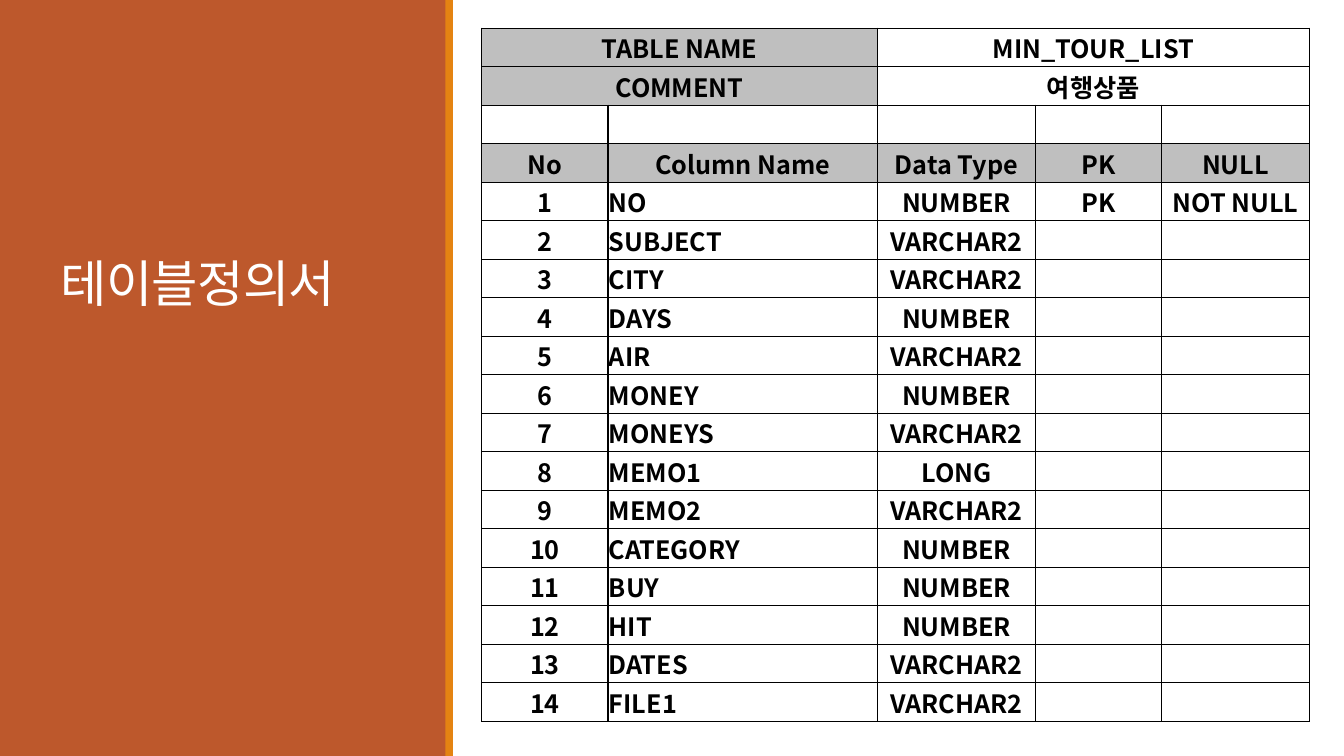
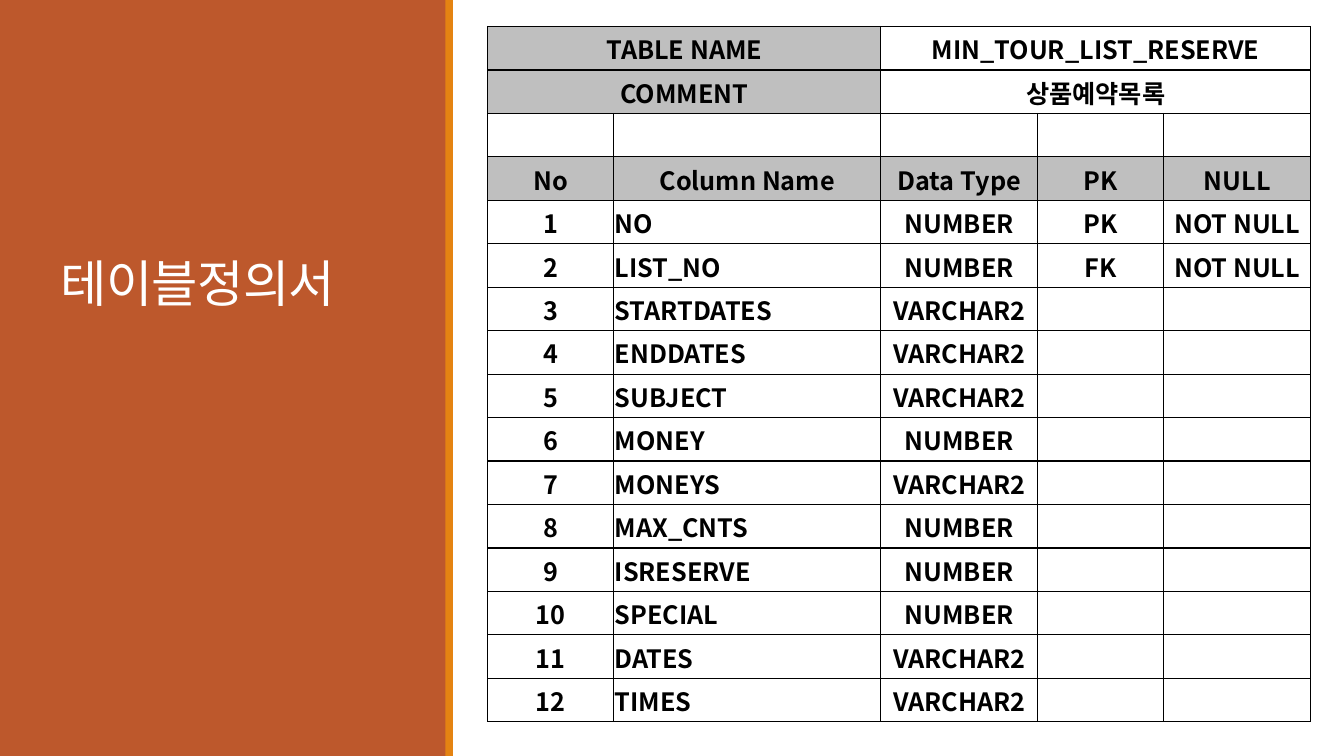
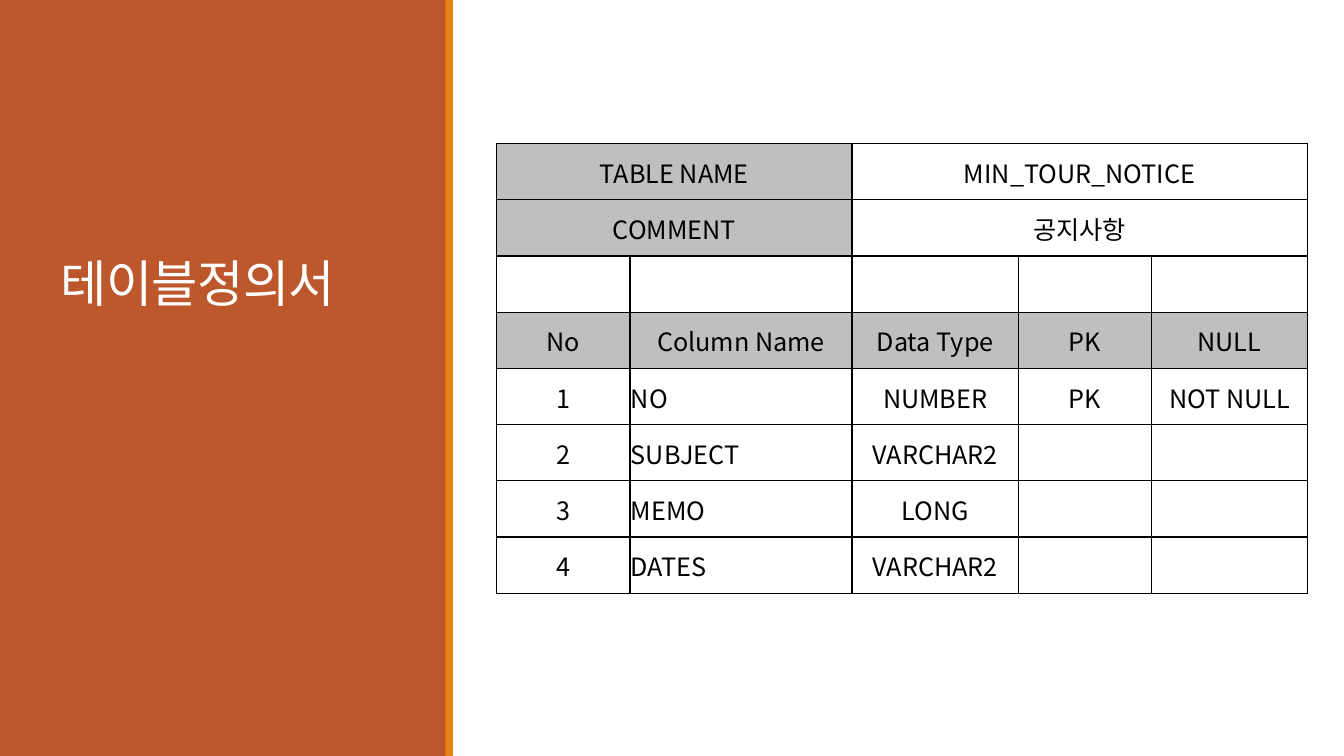
from lxml import etree
from pptx import Presentation, util as u
from pptx.dml.color import RGBColor
from pptx.enum import shapes, text
from pptx.oxml import ns

KEY = ("PK", "NOT NULL")
LEFT, CENTER = text.PP_ALIGN.LEFT, text.PP_ALIGN.CENTER


def rgb(value):
    return RGBColor.from_string(value)


def apply(target, values):
    for name, value in values.items():
        setattr(target, name, value)


class Deck:
    rust, orange, gray, black, white = "BD582C", "E48312", "BFBFBF", "000000", "FFFFFF"
    title_font = {"name": "Calibri", "size": u.Pt(36), "bold": False}
    cell_font = {"name": "Noto Sans CJK KR", "size": u.Pt(18)}
    cell_format = {
        "margin_left": u.Inches(0.01),
        "margin_right": u.Inches(0.01),
        "margin_top": u.Inches(0.01),
        "margin_bottom": 0,
        "vertical_anchor": text.MSO_ANCHOR.MIDDLE,
    }
    headings = ("No", "Column Name", "Data Type", "PK", "NULL")

    def __init__(self):
        self.prs = Presentation()
        self.prs.slide_width, self.prs.slide_height = u.Inches(13.33), u.Inches(7.5)
        self.s = None

    def box(self, left, top, width, height):
        w, h = self.prs.slide_width, self.prs.slide_height
        shares = ((left, w), (top, h), (width, w), (height, h))
        return [round(share * side / 100) for share, side in shares]

    def slide(self, title):
        self.s = self.prs.slides.add_slide(self.prs.slide_layouts[5])
        self.band(0, 33.22, self.rust)
        self.band(33.15, 0.55, self.orange)
        self.title(title)

    def band(self, left, width, color):
        sp = self.s.shapes.add_shape(
            shapes.MSO_SHAPE.RECTANGLE, *self.box(left, 0, width, 100))
        sp.shadow.inherit = False
        sp.fill.solid()
        sp.fill.fore_color.rgb = rgb(color)
        sp.line.fill.background()

    def title(self, words):
        sp = self.s.shapes.title
        self.s.shapes.element.append(sp.element)
        sides = ("left", "top", "width", "height")
        apply(sp, dict(zip(sides, self.box(3.75, 8.67, 26.25, 33.33))))
        tf = sp.text_frame
        apply(tf, {"word_wrap": True, "auto_size": text.MSO_AUTO_SIZE.NONE,
                   "vertical_anchor": text.MSO_ANCHOR.BOTTOM})
        p = tf.paragraphs[0]
        apply(p, {"alignment": LEFT, "line_spacing": 0.85})
        r = p.add_run()
        r.text = words
        apply(r.font, self.title_font)
        r.font.color.rgb = rgb(self.white)
        r._r.get_or_add_rPr().set("spc", "-50")

    def borders(self, cell):
        tc_pr = cell._tc.get_or_add_tcPr()
        for side in ("a:lnL", "a:lnR", "a:lnT", "a:lnB"):
            ln = etree.SubElement(tc_pr, ns.qn(side), w=str(u.Pt(1)))
            fill = etree.SubElement(ln, ns.qn("a:solidFill"))
            etree.SubElement(fill, ns.qn("a:srgbClr"), val=self.black)

    def cell(self, cell, words, bold, align, shaded):
        apply(cell, self.cell_format)
        self.borders(cell)
        if shaded:
            cell.fill.solid()
            cell.fill.fore_color.rgb = rgb(self.gray)
        else:
            cell.fill.background()
        if words:
            p = cell.text_frame.paragraphs[0]
            p.alignment = align
            r = p.add_run()
            r.text = words
            apply(r.font, {**self.cell_font, "bold": bold})
            r.font.color.rgb = rgb(self.black)
            ea = etree.SubElement(r._r.get_or_add_rPr(), ns.qn("a:ea"))
            ea.set("typeface", self.cell_font["name"])

    def definition(self, name, comment, fields, box, weights, bold=True):
        rows = [("TABLE NAME", "", name), ("COMMENT", "", comment), (), self.headings]
        rows += [(str(no), *field) for no, field in enumerate(fields, 1)]
        left, top, width, height = self.box(*box)
        table = self.s.shapes.add_table(
            len(rows), len(weights), left, top, width, height).table
        apply(table, {"first_row": False, "horz_banding": False})
        for column, weight in zip(table.columns, weights):
            column.width = round(width * weight / sum(weights))
        for y, row in enumerate(rows):
            table.rows[y].height = round(height / len(rows))
            for x in range(len(weights)):
                words = row[x] if x < len(row) else ""
                align = LEFT if x == 1 and y > 3 else CENTER
                shaded = y == 3 or (y < 2 and x < 2)
                self.cell(table.cell(y, x), words, bold, align, shaded)
        for y in range(2):
            table.cell(y, 0).merge(table.cell(y, 1))
            table.cell(y, 2).merge(table.cell(y, 4))


TABLES = [
    {
        "name": "MIN_TOUR_LIST",
        "comment": "여행상품",
        "box": (35.85, 3.73, 61.57, 91.73),
        "weights": (1.25, 2.67, 1.57, 1.25, 1.46),
        "fields": [
            ("NO", "NUMBER", *KEY),
            ("SUBJECT", "VARCHAR2"),
            ("CITY", "VARCHAR2"),
            ("DAYS", "NUMBER"),
            ("AIR", "VARCHAR2"),
            ("MONEY", "NUMBER"),
            ("MONEYS", "VARCHAR2"),
            ("MEMO1", "LONG"),
            ("MEMO2", "VARCHAR2"),
            ("CATEGORY", "NUMBER"),
            ("BUY", "NUMBER"),
            ("HIT", "NUMBER"),
            ("DATES", "VARCHAR2"),
            ("FILE1", "VARCHAR2"),
        ],
    },
    {
        "name": "MIN_TOUR_LIST_RESERVE",
        "comment": "상품예약목록",
        "box": (36.3, 3.5, 61.23, 92),
        "weights": (1.25, 2.65, 1.56, 1.25, 1.46),
        "fields": [
            ("NO", "NUMBER", *KEY),
            ("LIST_NO", "NUMBER", "FK", "NOT NULL"),
            ("STARTDATES", "VARCHAR2"),
            ("ENDDATES", "VARCHAR2"),
            ("SUBJECT", "VARCHAR2"),
            ("MONEY", "NUMBER"),
            ("MONEYS", "VARCHAR2"),
            ("MAX_CNTS", "NUMBER"),
            ("ISRESERVE", "NUMBER"),
            ("SPECIAL", "NUMBER"),
            ("DATES", "VARCHAR2"),
            ("TIMES", "VARCHAR2"),
        ],
    },
    {
        "name": "MIN_TOUR_NOTICE",
        "comment": "공지사항",
        "box": (36.96, 19, 60.3, 59.47),
        "weights": (1.32, 2.2, 1.65, 1.32, 1.54),
        "bold": False,
        "fields": [
            ("NO", "NUMBER", *KEY),
            ("SUBJECT", "VARCHAR2"),
            ("MEMO", "LONG"),
            ("DATES", "VARCHAR2"),
        ],
    },
]


def main():
    deck = Deck()
    for table in TABLES:
        deck.slide("테이블정의서")
        deck.definition(**table)
    deck.prs.save("out.pptx")


if __name__ == "__main__":
    main()
